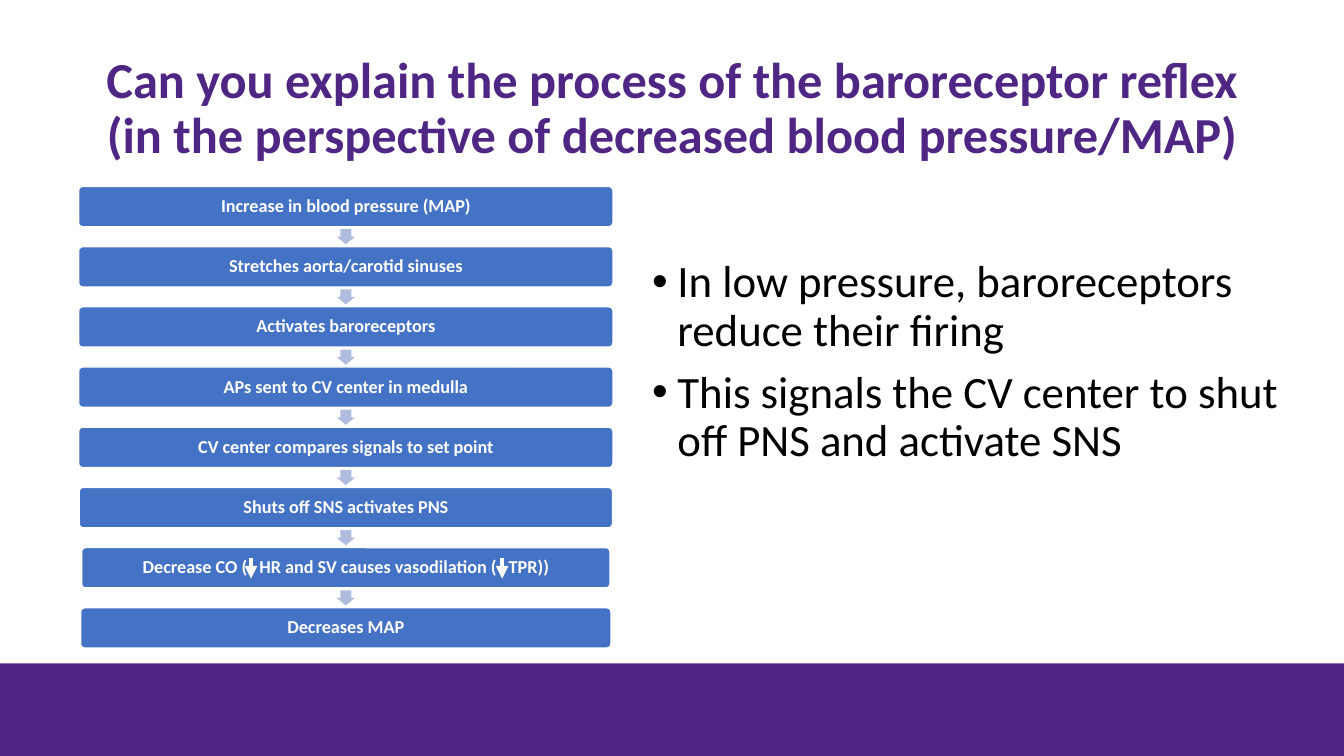
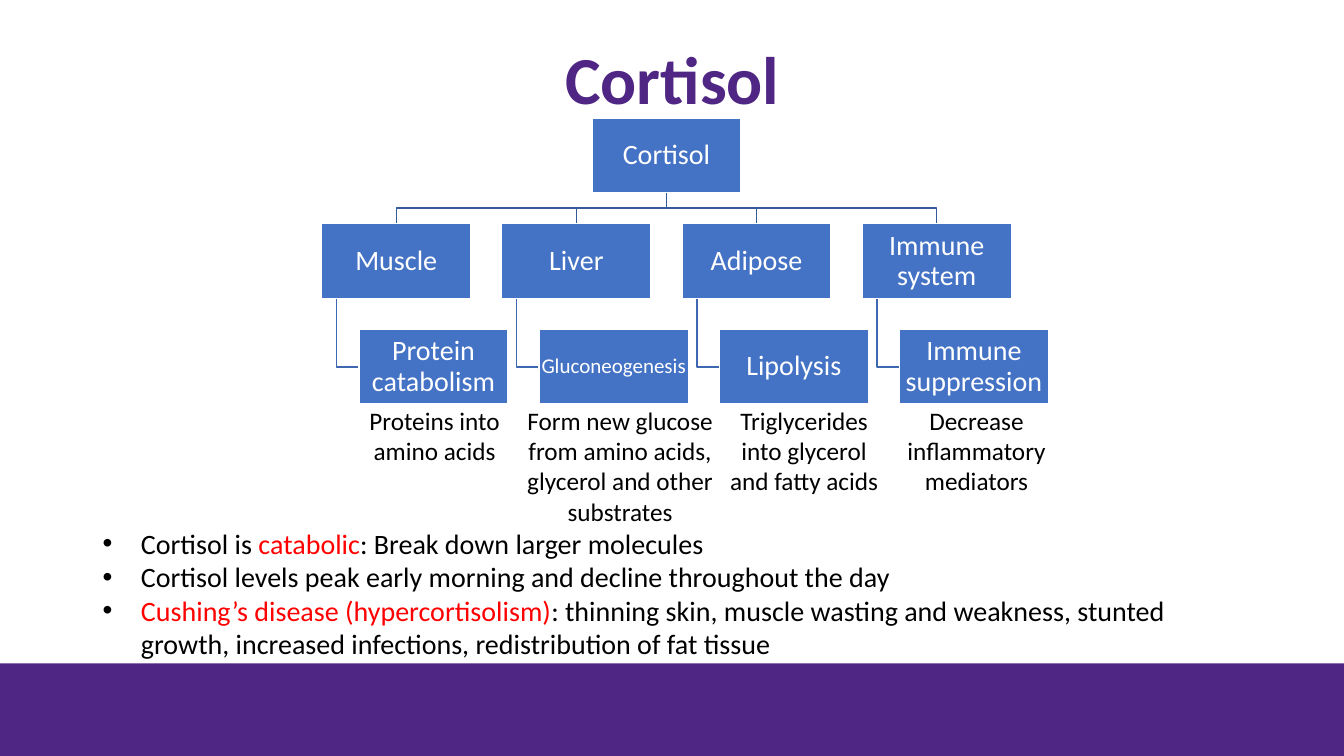
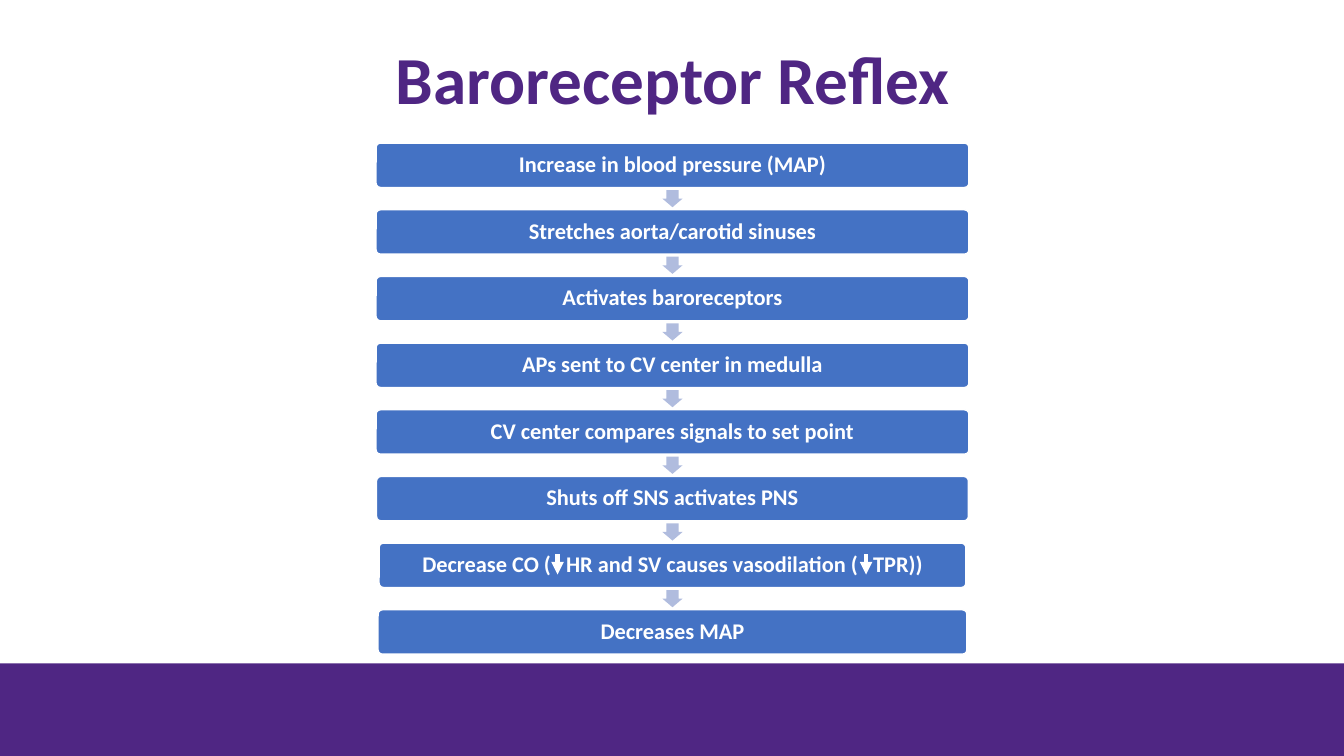
from dataclasses import dataclass
from typing import NamedTuple

from lxml import etree
from pptx import Presentation
from pptx import util as u
from pptx.dml.color import RGBColor
from pptx.enum import shapes as es, text as et
from pptx.oxml import ns

Inches, Pt = u.Inches, u.Pt


@dataclass(frozen=True)
class Theme:
    font: str = "Calibri"
    purple: RGBColor = RGBColor(0x4F, 0x26, 0x83)
    blue: RGBColor = RGBColor(0x44, 0x72, 0xC4)
    pale: RGBColor = RGBColor(0xB0, 0xBC, 0xDE)
    trunk: RGBColor = RGBColor(0x36, 0x5B, 0x9D)
    twig: RGBColor = RGBColor(0x3E, 0x67, 0xB2)
    red: RGBColor = RGBColor(0xFF, 0, 0)
    black: RGBColor = RGBColor(0, 0, 0)
    white: RGBColor = RGBColor(0xFF, 0xFF, 0xFF)
    title: int = 48
    long: int = 36
    body: int = 32
    list: int = 20
    node: int = 20
    small: int = 15
    note: int = 18


T = Theme()
WIDE, HIGH = 13.33, 7.5


class Box(NamedTuple):
    x: float
    y: float
    w: float
    h: float

    def emu(self) -> list[int]:
        return [Inches(v) for v in self]


class Run(NamedTuple):
    text: str
    color: RGBColor | None = None
    wide: float = 0  # extra letter spacing, in ems


class Step(NamedTuple):
    runs: list[Run]
    trim: float = 0


@dataclass(frozen=True)
class Flow:
    mid: float
    top: float
    last: float
    width: float
    height: float
    size: int
    inset: float
    arrow: tuple[float, float]
    marks: tuple[float, float]
    mark_top: float


class Branch(NamedTuple):
    organ: str
    effect: str
    size: int
    note: str
    note_x: float
    note_w: float


GAP = Run(" ", wide=0.45)
STEPS = [
    Step([Run("Increase in blood pressure (MAP)")]),
    Step([Run("Stretches aorta/carotid sinuses")]),
    Step([Run("Activates baroreceptors")]),
    Step([Run("APs sent to CV center in medulla")]),
    Step([Run("CV center compares signals to set point")]),
    Step([Run("Shuts off SNS activates PNS")], 0.01),
    Step([Run("Decrease CO ("), GAP, Run("HR and SV causes vasodilation ("),
          GAP, Run("TPR))")], 0.06),
    Step([Run("Decreases MAP")], 0.04),
]
SIDE = Flow(3.43, 1.85, 6.03, 5.3, 0.4, 13, 0.05, (0.18, 0.15), (2.49, 4.98), 5.54)
FULL = Flow(6.67, 1.42, 6.05, 5.88, 0.44, 16, 0.07, (0.2, 0.17), (5.53, 8.59), 5.5)

BRANCHES = [
    Branch("Muscle", "Protein catabolism", T.node,
           "Proteins into amino acids", 3.32, 1.98),
    Branch("Liver", "Gluconeogenesis", T.small,
           "Form new glucose from amino acids, glycerol and other substrates",
           4.88, 2.54),
    Branch("Adipose", "Lipolysis", T.node,
           "Triglycerides into glycerol and fatty acids", 7.08, 1.79),
    Branch("Immune system", "Immune suppression", T.node,
           "Decrease inflammatory mediators", 8.79, 1.79),
]
REFLEX = [
    [Run("In low pressure, baroreceptors reduce their firing")],
    [Run("This signals the CV center to shut off PNS and activate SNS")],
]
FACTS = [
    [Run("Cortisol is "), Run("catabolic", T.red),
     Run(": Break down larger molecules")],
    [Run("Cortisol levels peak early morning and decline throughout the day")],
    [Run("Cushing’s disease (hypercortisolism)", T.red),
     Run(": thinning skin, muscle wasting and weakness, stunted growth, "
         "increased infections, redistribution of fat tissue")],
]


def write(para, runs: list[Run], size: int, color: RGBColor, bold=False) -> None:
    for item in runs:
        run = para.add_run()
        run.text = item.text
        font = run.font
        font.name, font.size, font.bold = T.font, Pt(size), bold
        font.color.rgb = item.color or color
        if item.wide:
            run._r.get_or_add_rPr().set("spc", str(round(item.wide * size * 100)))


def center(frame, runs: list[Run], size: int, color: RGBColor,
           bold=False, lead=0.9) -> None:
    """Write one centred paragraph into a text frame."""
    frame.word_wrap = True
    para = frame.paragraphs[0]
    para.alignment = et.PP_ALIGN.CENTER
    para.line_spacing = lead
    write(para, runs, size, color, bold)


def block(slide, kind, box: Box, fill: RGBColor, edge: RGBColor | None = None):
    shape = slide.shapes.add_shape(kind, *box.emu())
    shape.shadow.inherit = False
    shape.fill.solid()
    shape.fill.fore_color.rgb = fill
    if edge is None:
        shape.line.fill.background()
    else:
        shape.line.color.rgb = edge
        shape.line.width = Pt(1)
    return shape


def label(shape, runs: list[Run], size: int, inset: float, bold=False) -> None:
    frame = shape.text_frame
    frame.margin_left = frame.margin_right = Inches(inset)
    frame.margin_top = frame.margin_bottom = Inches(inset)
    frame.vertical_anchor = et.MSO_ANCHOR.MIDDLE
    center(frame, runs, size, T.white, bold)


def start(deck, title: str, size: int, height: float):
    """Add a slide with its title and bottom band."""
    slide = deck.slides.add_slide(deck.slide_layouts[5])
    head = slide.shapes.title
    head.left, head.top, head.width, head.height = Box(0.92, 0.22, 11.5, height).emu()
    frame = head.text_frame
    frame.auto_size = et.MSO_AUTO_SIZE.NONE
    frame.vertical_anchor = et.MSO_ANCHOR.MIDDLE
    center(frame, [Run(title)], size, T.purple, True)
    block(slide, es.MSO_SHAPE.RECTANGLE, Box(0, 6.58, WIDE, 0.92), T.purple)
    return slide


def bullets(slide, box: Box, items: list[list[Run]], size: int,
            indent: float, lead: float, before: int) -> None:
    frame = slide.shapes.add_textbox(*box.emu()).text_frame
    frame.word_wrap = True
    for i, runs in enumerate(items):
        para = frame.add_paragraph() if i else frame.paragraphs[0]
        para.line_spacing = lead
        para.space_before = Pt(before if i else 0)
        props = para._p.get_or_add_pPr()
        props.set("marL", str(Inches(indent)))
        props.set("indent", str(-Inches(indent)))
        tint = etree.SubElement(props, ns.qn("a:buClr"))
        etree.SubElement(tint, ns.qn("a:srgbClr")).set("val", str(T.black))
        etree.SubElement(props, ns.qn("a:buFont")).set("typeface", "Arial")
        etree.SubElement(props, ns.qn("a:buChar")).set("char", "•")
        write(para, runs, size, T.black)


def mark(slide, x: float, y: float) -> None:
    """Draw a small white arrow pointing down."""
    line = slide.shapes.add_connector(
        es.MSO_CONNECTOR.STRAIGHT, Inches(x), Inches(y), Inches(x), Inches(y + 0.2))
    line.line.color.rgb = T.white
    line.line.width = Pt(3)
    tip = etree.SubElement(line.line._get_or_add_ln(), ns.qn("a:tailEnd"))
    tip.set("type", "triangle")
    etree.SubElement(line._element.spPr, ns.qn("a:effectLst"))


def chain(slide, flow: Flow) -> None:
    """Draw the reflex steps, top to bottom, with arrows between."""
    pitch = (flow.last - flow.top) / (len(STEPS) - 1)
    wide, tall = flow.arrow
    for i, step in enumerate(STEPS):
        y, w = flow.top + i * pitch, flow.width - step.trim
        bar = block(slide, es.MSO_SHAPE.ROUNDED_RECTANGLE,
                    Box(flow.mid - w / 2, y, w, flow.height), T.blue, T.white)
        bar.adjustments[0] = 0.1
        label(bar, step.runs, flow.size, flow.inset, True)
        if i:
            gap = y - (pitch - flow.height) / 2
            arrow = block(slide, es.MSO_SHAPE.DOWN_ARROW,
                          Box(flow.mid - wide / 2, gap - tall / 2, wide, tall), T.pale)
            arrow.adjustments[0], arrow.adjustments[1] = 0.6, 0.5
    for x in flow.marks:
        mark(slide, x, flow.mark_top)


def elbow(slide, points: list[tuple[float, float]], color: RGBColor) -> None:
    first, *rest = [(Inches(x), Inches(y)) for x, y in points]
    pen = slide.shapes.build_freeform(*first)
    pen.add_line_segments(rest, close=False)
    shape = pen.convert_to_shape()
    shape.shadow.inherit = False
    shape.fill.background()
    shape.line.color.rgb = color
    shape.line.width = Pt(1)


def node(slide, x: float, y: float, w: float, h: float, name: str, size: int) -> None:
    shape = block(slide, es.MSO_SHAPE.RECTANGLE, Box(x, y, w, h), T.blue, T.white)
    label(shape, [Run(name)], size, 0.01)


def tree(slide) -> None:
    """Draw the cortisol chart: root, organs, effects and notes."""
    w, h, left, top, drop = 1.48, 0.74, 3.19, 1.17, 1.05
    pitch = (8.55 - left) / (len(BRANCHES) - 1)
    shift = w / 4
    root = left + 1.5 * pitch
    organ_y, effect_y = top + drop, top + 2 * drop
    bend = (top + h + organ_y) / 2
    for i, item in enumerate(BRANCHES):
        x = left + i * pitch
        mid, stem, level = x + w / 2, x + w / 10, effect_y + h / 2
        elbow(slide, [(root + w / 2, top + h), (root + w / 2, bend),
                      (mid, bend), (mid, organ_y)], T.trunk)
        elbow(slide, [(stem, organ_y + h), (stem, level), (x + shift, level)], T.twig)
        node(slide, x, organ_y, w, h, item.organ, T.node)
        node(slide, x + shift, effect_y, w, h, item.effect, item.size)
    node(slide, root, top, w, h, "Cortisol", T.node)
    for item in BRANCHES:
        note = slide.shapes.add_textbox(*Box(item.note_x, 3.97, item.note_w, 1).emu())
        center(note.text_frame, [Run(item.note)], T.note, T.black, lead=1)


def main() -> None:
    deck = Presentation()
    deck.slide_width, deck.slide_height = Inches(WIDE), Inches(HIGH)

    quiz = start(deck, "Can you explain the process of the baroreceptor reflex "
                 "(in the perspective of decreased blood pressure/MAP)", T.long, 1.74)
    chain(quiz, SIDE)
    bullets(quiz, Box(6.37, 2.52, 6.65, 3.76), REFLEX, T.body, 0.25, 0.9, 10)

    hormone = start(deck, "Cortisol", T.title, 1.2)
    tree(hormone)
    bullets(hormone, Box(0.92, 5.17, 11.5, 1.45), FACTS, T.list, 0.38, 1, 0)

    chain(start(deck, "Baroreceptor Reflex", T.title, 1.2), FULL)
    deck.save("out.pptx")


if __name__ == "__main__":
    main()
